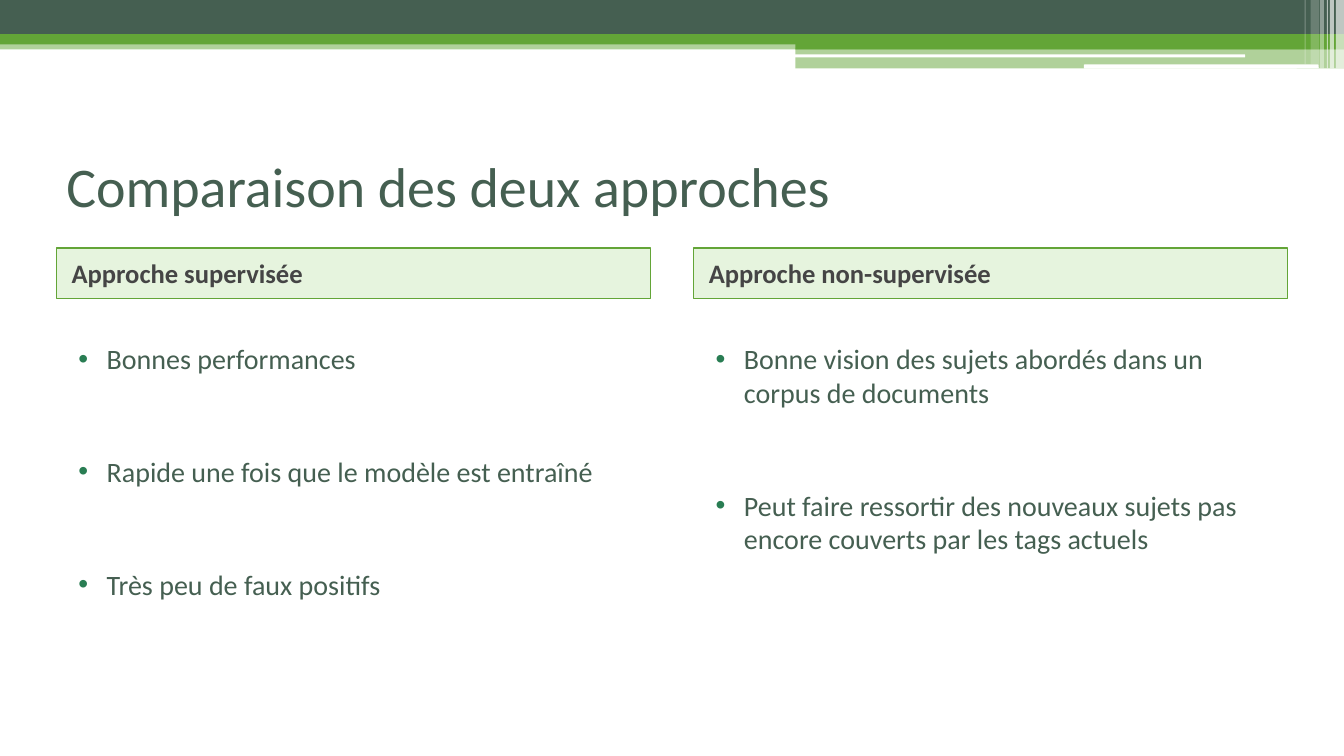
from typing import NamedTuple
from lxml.etree import SubElement
from pptx import Presentation
from pptx.dml.color import RGBColor
from pptx.enum.shapes import MSO_SHAPE
from pptx.enum.text import MSO_ANCHOR
from pptx.oxml.ns import qn
from pptx.util import Inches, Pt

DARK, GREEN, WHITE = "455F51", "63A537", "FFFFFF"


class Bar(NamedTuple):
    left: float
    top: float
    width: float
    height: float
    color: str
    alpha: int = 100
    kind: MSO_SHAPE = MSO_SHAPE.RECTANGLE


class Column(NamedTuple):
    left: float
    head: str
    points: list[str]


def rgb(color: str) -> RGBColor:
    return RGBColor.from_string(color)


def draw_bar(bar: Bar):
    shape = slide.shapes.add_shape(
        bar.kind, *map(Inches, (bar.left, bar.top, bar.width, bar.height)))
    shape.shadow.inherit = False
    shape.fill.solid()
    shape.fill.fore_color.rgb = rgb(bar.color)
    shape.line.fill.background()
    if bar.alpha < 100:
        tint = shape.fill._xPr.find(".//" + qn("a:srgbClr"))
        SubElement(tint, qn("a:alpha"), val=str(bar.alpha * 1000))
    return shape


def write(para, text: str, size: float, color: str, bold: bool = False) -> None:
    run = para.add_run()
    run.text = text
    run.font.color.rgb = rgb(color)
    for name, value in {"name": "Calibri", "size": Pt(size), "bold": bold}.items():
        setattr(run.font, name, value)


def add_box(left: float, top: float, width: float, height: float):
    frame = slide.shapes.add_textbox(*map(Inches, (left, top, width, height))).text_frame
    frame.word_wrap = True
    return frame


def add_bullet(para, color: str) -> None:
    props = para._p.get_or_add_pPr()
    props.set("marL", str(Inches(0.4)))
    props.set("indent", str(Inches(-0.28)))
    SubElement(SubElement(props, qn("a:buClr")), qn("a:srgbClr"), val=color)
    SubElement(props, qn("a:buFont"), typeface="Arial")
    SubElement(props, qn("a:buChar"), char="•")


def draw_column(col: Column) -> None:
    # Heading band
    head = draw_bar(Bar(col.left, 2.46, 5.89, 0.5, "9FD47D", 25))
    head.line.color.rgb = rgb(GREEN)
    head.line.width = Pt(1)
    frame = head.text_frame
    for name, value in {"word_wrap": True, "margin_left": Inches(0.15),
                        "vertical_anchor": MSO_ANCHOR.MIDDLE}.items():
        setattr(frame, name, value)
    para = frame.paragraphs[0]
    para.alignment = 1
    para.space_before = Pt(3)
    write(para, col.head, 19, "454545", True)

    # Bullet points
    frame = add_box(col.left, 2.96, 5.89, 4.25)
    frame.margin_top = Inches(0.43)
    for i, point in enumerate(col.points):
        para = frame.add_paragraph() if i else frame.paragraphs[0]
        para.space_before = Pt(56.5 if i else 0)
        add_bullet(para, "297D53")
        write(para, point, 20, DARK)


deck = Presentation()
deck.slide_width, deck.slide_height = Inches(13.33), Inches(7.5)
slide = deck.slides.add_slide(deck.slide_layouts[6])

# Top banner, white rules and pale stripes at the right edge
ROUND = MSO_SHAPE.ROUNDED_RECTANGLE
banner = [
    Bar(0, 0.4, 13.33, 0.09, GREEN, 50),
    Bar(0, 0, 13.33, 0.34, DARK),
    Bar(0, 0.34, 13.33, 0.1, GREEN),
    Bar(7.89, 0.39, 5.44, 0.1, GREEN),
    Bar(7.89, 0.48, 5.44, 0.2, GREEN, 50),
    Bar(7.88, 0.54, 4.47, 0.03, WHITE, kind=ROUND),
    Bar(10.75, 0.64, 2.33, 0.04, WHITE, kind=ROUND),
]
stripes = [
    (13.25, 0.08, 0.68, 65), (13.19, 0.04, 0.68, 65), (13.16, 0.01, 0.68, 60),
    (13.09, 0.04, 0.68, 40), (13, 0.08, 0.64, 20), (12.94, 0.01, 0.64, 30),
]
banner += [Bar(x, 0, w, h, WHITE, alpha) for x, w, h, alpha in stripes]
for bar in banner:
    draw_bar(bar)

# Title
title = add_box(0.56, 1.25, 12.22, 1.17)
title.vertical_anchor = MSO_ANCHOR.MIDDLE
write(title.paragraphs[0], "Comparaison des deux approches", 40, DARK)

# Two columns
for col in (
    Column(0.56, "Approche supervisée", [
        "Bonnes performances",
        "Rapide une fois que le modèle est entraîné",
        "Très peu de faux positifs"]),
    Column(6.88, "Approche non-supervisée", [
        "Bonne vision des sujets abordés dans un corpus de documents",
        "Peut faire ressortir des nouveaux sujets pas encore couverts par les tags actuels"]),
):
    draw_column(col)

deck.save("out.pptx")
